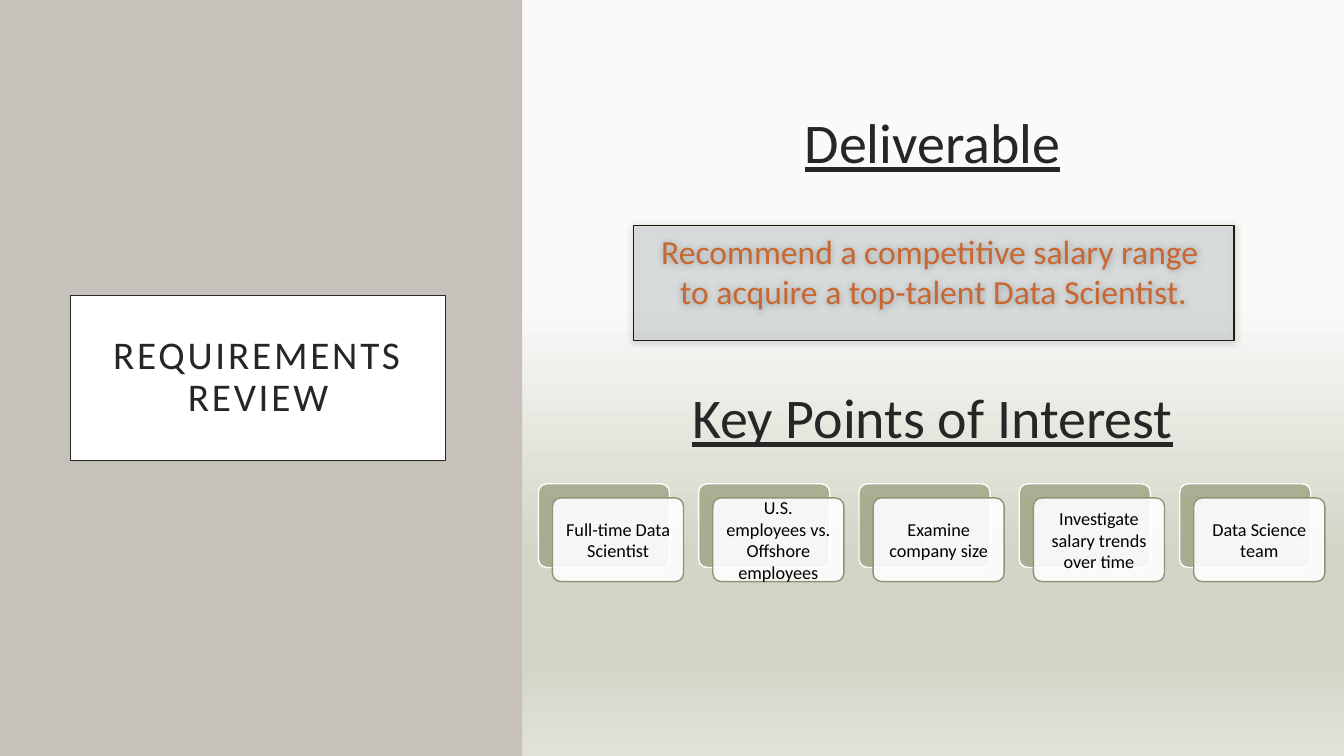
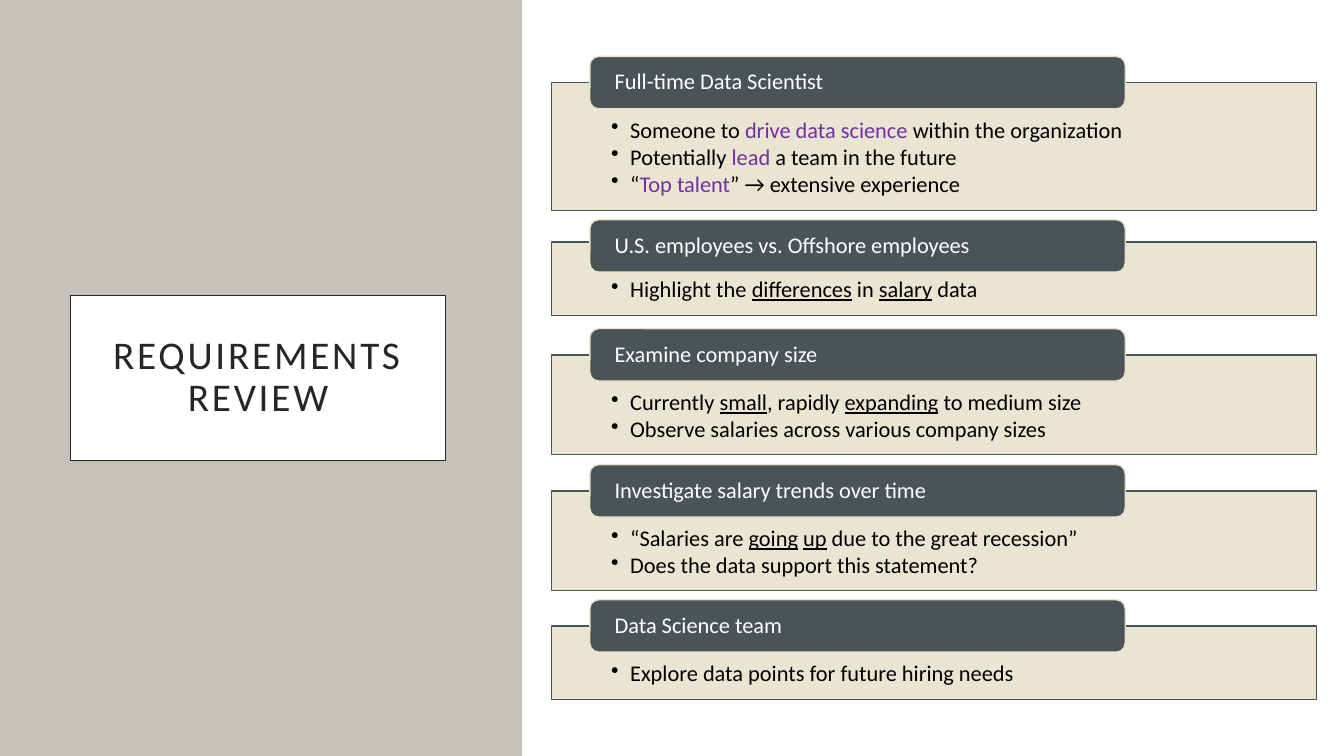
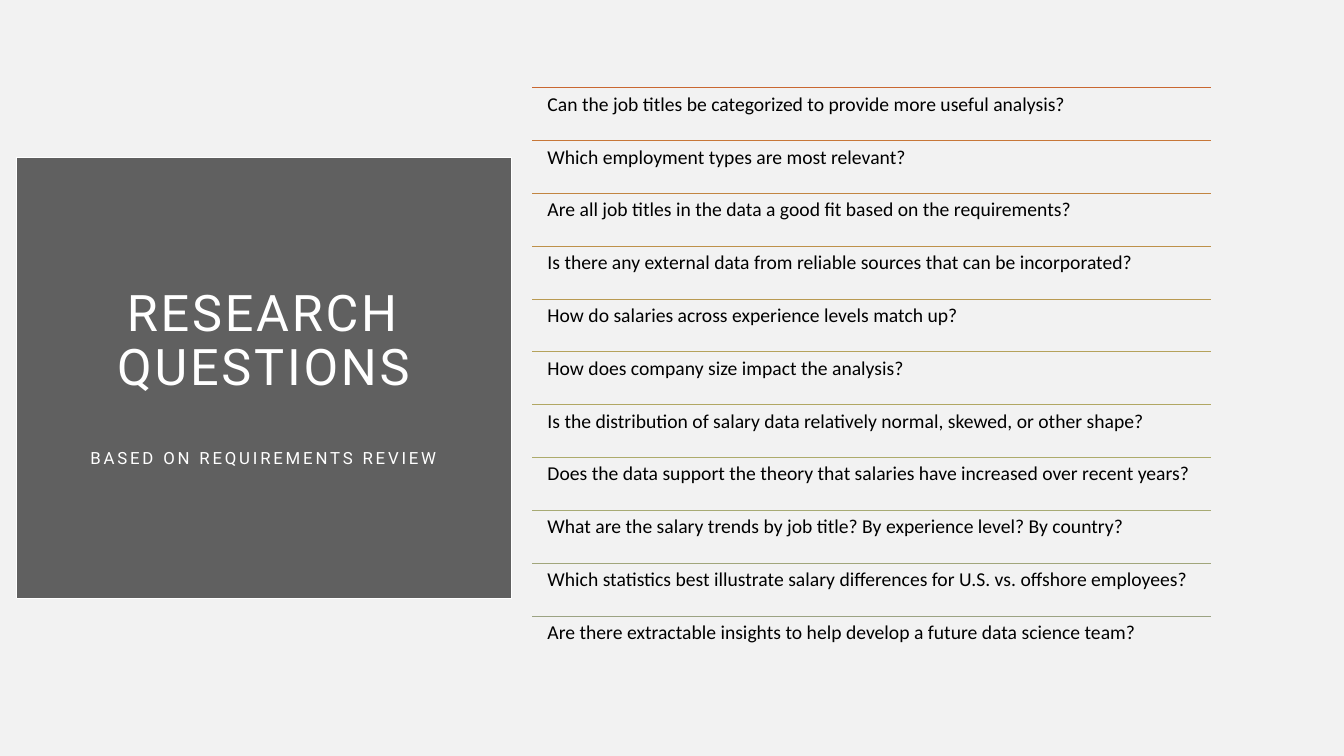
from lxml.etree import SubElement
from pptx import Presentation
from pptx.dml.color import RGBColor
from pptx.enum.shapes import MSO_CONNECTOR, MSO_SHAPE
from pptx.enum.text import MSO_ANCHOR, MSO_AUTO_SIZE, PP_ALIGN
from pptx.oxml.ns import qn
from pptx.util import Inches, Pt

DARK, BLACK, WHITE = "262626", "000000", "FFFFFF"
STONE, SLATE, CREAM = "C6C1BA", "4A5356", "E8E3CE"
RUST, SAGE, PLUM = "C96731", "9CA383", "7030A0"
FADE = [(40, "FAFAF9"), (73, "D2D6C7"), (88, "D2D6C7"), (100, "E1E3DA")]
MID = {"alignment": PP_ALIGN.CENTER}
HEAD = {**MID, "line_spacing": 0.9, "space_after": Pt(6)}
LEAD = {**MID, "space_before": Pt(5.9)}

CARDS = [
    "Full-time Data Scientist",
    "U.S. employees vs. Offshore employees",
    "Examine company size",
    "Investigate salary trends over time",
    "Data Science team",
]
PANELS = [
    (0.56, 0.82, 1.27, ["Someone to |drive data science |within the organization",
                        "Potentially |lead| a team in the future",
                        "“|Top talent|” → extensive experience"]),
    (2.18, 2.4, 0.73, ["Highlight the |differences| in |salary| data"]),
    (3.26, 3.52, 0.99, ["Currently |small|, rapidly |expanding| to medium size",
                        "Observe salaries across various company sizes"]),
    (4.61, 4.87, 0.99, ["“Salaries are |going| |up| due to the great recession”",
                        "Does the data support this statement?"]),
    (5.95, 6.21, 0.73, ["Explore data points for future hiring needs"]),
]
ASKS = [
    ("C96731", "Can the job titles be categorized to provide more useful analysis?"),
    ("C77738", "Which employment types are most relevant?"),
    ("C28541", "Are all job titles in the data a good fit based on the requirements?"),
    ("BE914A", "Is there any external data from reliable sources that can be incorporated?"),
    ("B99A52", "How do salaries across experience levels match up?"),
    ("B5A25B", "How does company size impact the analysis?"),
    ("B1A763", "Is the distribution of salary data relatively normal, skewed, or other shape?"),
    ("ADAB6C", "Does the data support the theory that salaries have increased over recent years?"),
    ("A7AA74", "What are the salary trends by job title? By experience level? By country?"),
    ("A1A67B", "Which statistics best illustrate salary differences for U.S. vs. offshore employees?"),
    ("9CA383", "Are there extractable insights to help develop a future data science team?"),
]


def adorn(item, form):
    """Set each value of a format dict on an item."""
    for key, val in form.items():
        setattr(item, key, val)


def tint(fill, hue):
    """Make a fill solid in a hex colour."""
    fill.solid()
    fill.fore_color.rgb = RGBColor.from_string(hue)


def node(root, tag, **form):
    """Add an XML child with attributes."""
    return SubElement(root, qn(tag), {key: str(val) for key, val in form.items()})


def blend(fill, root):
    """Give a fill the shared vertical gradient."""
    fill.gradient()
    fill.gradient_angle = 270
    stops = next(root.iter(qn("a:gsLst")))
    stops.clear()
    for pos, hue in FADE:
        node(node(stops, "a:gs", pos=pos * 1000), "a:srgbClr", val=hue)


class Deck:
    """Holds the style and the current slide."""

    def __init__(self):
        """Start a wide deck."""
        self.show = Presentation()
        adorn(self.show, {"slide_width": Inches(13.33), "slide_height": Inches(7.5)})

    def page(self, kind, back=None):
        """Add a slide with a plain or gradient background."""
        self.slide = self.show.slides.add_slide(self.show.slide_layouts[kind])
        fill = self.slide.background.fill
        if back:
            tint(fill, back)
        else:
            blend(fill, self.slide.element)

    def place(self, shape, at):
        """Move and size a shape."""
        adorn(shape, dict(zip(("left", "top", "width", "height"), map(Inches, at))))
        return shape

    def dress(self, shape, fill, line=None, wide=0.75, solid=100):
        """Set fill, outline and opacity without shadow."""
        shape.shadow.inherit = False
        if fill:
            tint(shape.fill, fill)
            hue = next(shape.element.spPr.iter(qn("a:srgbClr")))
            node(hue, "a:alpha", val=solid * 1000)
        else:
            blend(shape.fill, shape.element)
        if line:
            tint(shape.line.fill, line)
            shape.line.width = Pt(wide)
        else:
            shape.line.fill.background()
        return shape

    def box(self, at, fill, line=None, wide=0.75, solid=100, curve=None):
        """Draw a square or rounded box."""
        kind = MSO_SHAPE.RECTANGLE if curve is None else MSO_SHAPE.ROUNDED_RECTANGLE
        shape = self.slide.shapes.add_shape(kind, *map(Inches, at))
        if curve is not None:
            shape.adjustments[0] = curve
        return self.dress(shape, fill, line, wide, solid)

    def frame(self, shape, pads=(0.1, 0.05, 0.1, 0.05), anchor=MSO_ANCHOR.TOP):
        """Set insets, wrap and anchor."""
        sides = ("margin_left", "margin_top", "margin_right", "margin_bottom")
        adorn(shape.text_frame, {
            "word_wrap": True, "auto_size": MSO_AUTO_SIZE.NONE,
            "vertical_anchor": anchor, **dict(zip(sides, map(Inches, pads)))})

    def put(self, shape, lines, size, ink, form, face="Calibri", space=0,
            dot="", hot=None, under=False):
        """Fill in paragraphs; parts between bars are marked, a slash breaks."""
        text = shape.text_frame
        for row, line in enumerate(lines):
            para = text.paragraphs[0]
            if row or para.runs:
                para = text.add_paragraph()
            adorn(para, {"alignment": PP_ALIGN.LEFT, "space_before": Pt(0), **form})
            props = para._p.get_or_add_pPr()
            dent = Inches(0.19) if dot else 0
            props.set("marL", str(dent))
            props.set("indent", str(-dent))
            if dot:
                node(props, "a:buChar", char=dot)
            else:
                node(props, "a:buNone")
            for part, words in enumerate(line.split("|")):
                if words == "/":
                    para.add_line_break()
                    continue
                mark = part % 2 == 1
                run = para.add_run()
                run.text = words
                adorn(run.font, {"name": face, "size": Pt(size),
                                 "underline": under or (mark and not hot)})
                tint(run.font.fill, hot if mark and hot else ink)
                if space:
                    run.font._element.set("spc", str(space * 100))

    def title(self, at, fill, line, solid=100):
        """Style the title placeholder and bring it forward."""
        shape = self.place(self.slide.shapes.title, at)
        self.slide.shapes.element.append(shape.element)
        self.dress(shape, fill, line, solid=solid)
        self.frame(shape, (0.2,) * 4, MSO_ANCHOR.MIDDLE)
        return shape

    def split(self, back=None):
        """Draw the left band, its title and the right side."""
        self.box((0, 0, 5.18, 7.5), STONE)
        shape = self.title((0.7, 2.93, 3.72, 1.64), WHITE, DARK)
        self.put(shape, ["REQUIREMENTS REVIEW"], 28, DARK, HEAD, space=2)
        self.box((5.2, 0, 8.13, 7.5), back)

    def label(self, top, high, words):
        """Add a large underlined heading."""
        at = map(Inches, (6.27, top, 5.96, high))
        shape = self.slide.shapes.add_textbox(*at)
        self.frame(shape)
        self.put(shape, [words], 40, DARK, LEAD, under=True)

    def card(self, left, words):
        """Draw a card over its offset back plate."""
        self.box((left, 4.8, 1.3, 0.83), SAGE, WHITE, 1, 80, 0.1)
        front = self.box((left + 0.14, 4.94, 1.3, 0.83), WHITE, "8E9477", 1, 90, 0.1)
        self.frame(front, (0.07,) * 4, MSO_ANCHOR.MIDDLE)
        self.put(front, [words], 13, BLACK, MID)

    def panel(self, tab, top, high, name, lines, hot):
        """Draw a bulleted panel with a tab."""
        body = self.box((5.47, top, 7.59, high), CREAM, SLATE, 1, 90)
        self.frame(body, (0.59, 0.36, 0.59, 0.12))
        self.put(body, lines, 16, BLACK, {"line_spacing": 0.9, "space_after": Pt(2)},
                 dot="•", hot=hot)
        head = self.box((5.85, tab, 5.31, 0.52), SLATE, CREAM, 1, curve=0.17)
        self.frame(head, (0.22, 0, 0.22, 0), MSO_ANCHOR.MIDDLE)
        self.put(head, [name], 16, WHITE, {"line_spacing": 0.9})

    def rule(self, top, hue):
        """Draw a thin line across the list."""
        ends = map(Inches, (5.28, top, 12.01, top))
        line = self.slide.shapes.add_connector(MSO_CONNECTOR.STRAIGHT, *ends)
        tint(line.line.fill, hue)
        line.line.width = Pt(0.5)
        node(line._element.spPr, "a:effectLst")

    def goal(self):
        """Draw the glowing deliverable box."""
        shape = self.box((6.28, 2.24, 5.96, 1.14), "9BAFB5", "1E1B0E", solid=20)
        glow = node(next(shape.element.spPr.iter(qn("a:effectLst"))), "a:outerShdw",
                    blurRad=Pt(5), dist=0, dir=0, algn="ctr", rotWithShape=0)
        node(node(glow, "a:srgbClr", val=BLACK), "a:alpha", val=40000)
        self.frame(shape)
        self.put(shape, ["Recommend a competitive salary range |/|"
                         "to acquire a top-talent Data Scientist."], 24, RUST, LEAD)


def main():
    """Build the three slides."""
    deck = Deck()

    deck.page(5)
    deck.split()
    deck.goal()
    for spot, words in enumerate(CARDS):
        deck.card(5.34 + spot * 1.59, words)
    deck.label(1.02, 0.91, "Deliverable")
    deck.label(3.75, 1.14, "Key Points of Interest")

    deck.page(5, WHITE)
    deck.split(WHITE)
    for spot, (tab, top, high, lines) in enumerate(PANELS):
        deck.panel(tab, top, high, CARDS[spot], lines, None if spot else PLUM)

    deck.page(1, "F2F2F2")
    head = deck.title((0.16, 1.56, 4.91, 4.38), BLACK, WHITE, 60)
    deck.put(head, ["RESEARCH QUESTIONS"], 36, WHITE,
             {**HEAD, "space_after": Pt(38)}, "Roboto", 2)
    deck.put(head, ["BASED ON REQUIREMENTS REVIEW"], 12, WHITE, HEAD, "Roboto", 2)
    first, last = 0.87, 6.11
    step = (last - first) / (len(ASKS) - 1)
    for spot, (hue, _) in enumerate(ASKS):
        deck.rule(first + spot * step, hue)
    body = deck.place(deck.slide.placeholders[1], (5.28, first, 6.73, len(ASKS) * step))
    deck.frame(body, (0.15, 0.06, 0.06, 0))
    deck.put(body, [words for _, words in ASKS], 14, BLACK,
             {"line_spacing": Pt(15.4), "space_after": Pt(step * 72 - 15.4)})

    deck.show.save("out.pptx")


if __name__ == "__main__":
    main()
